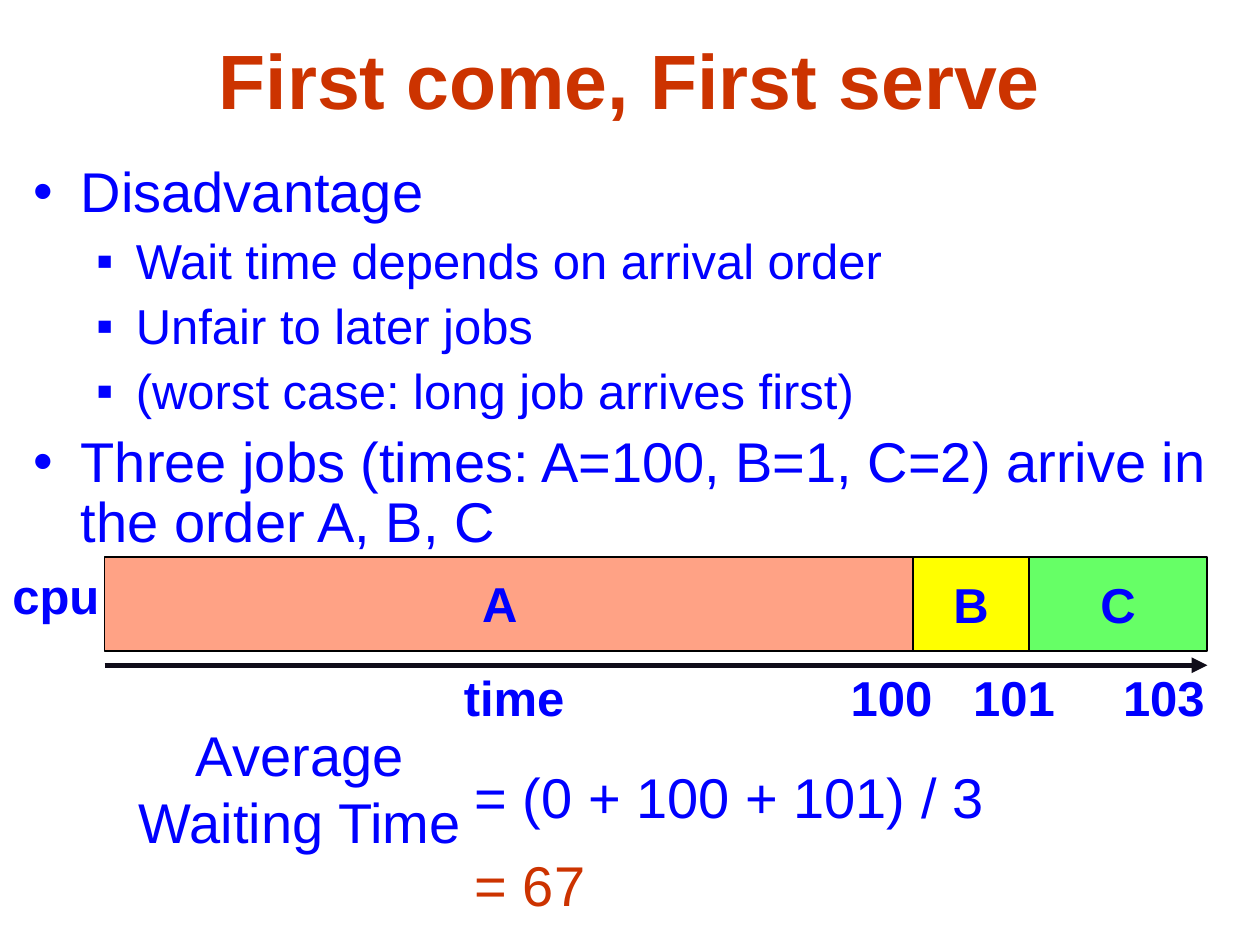
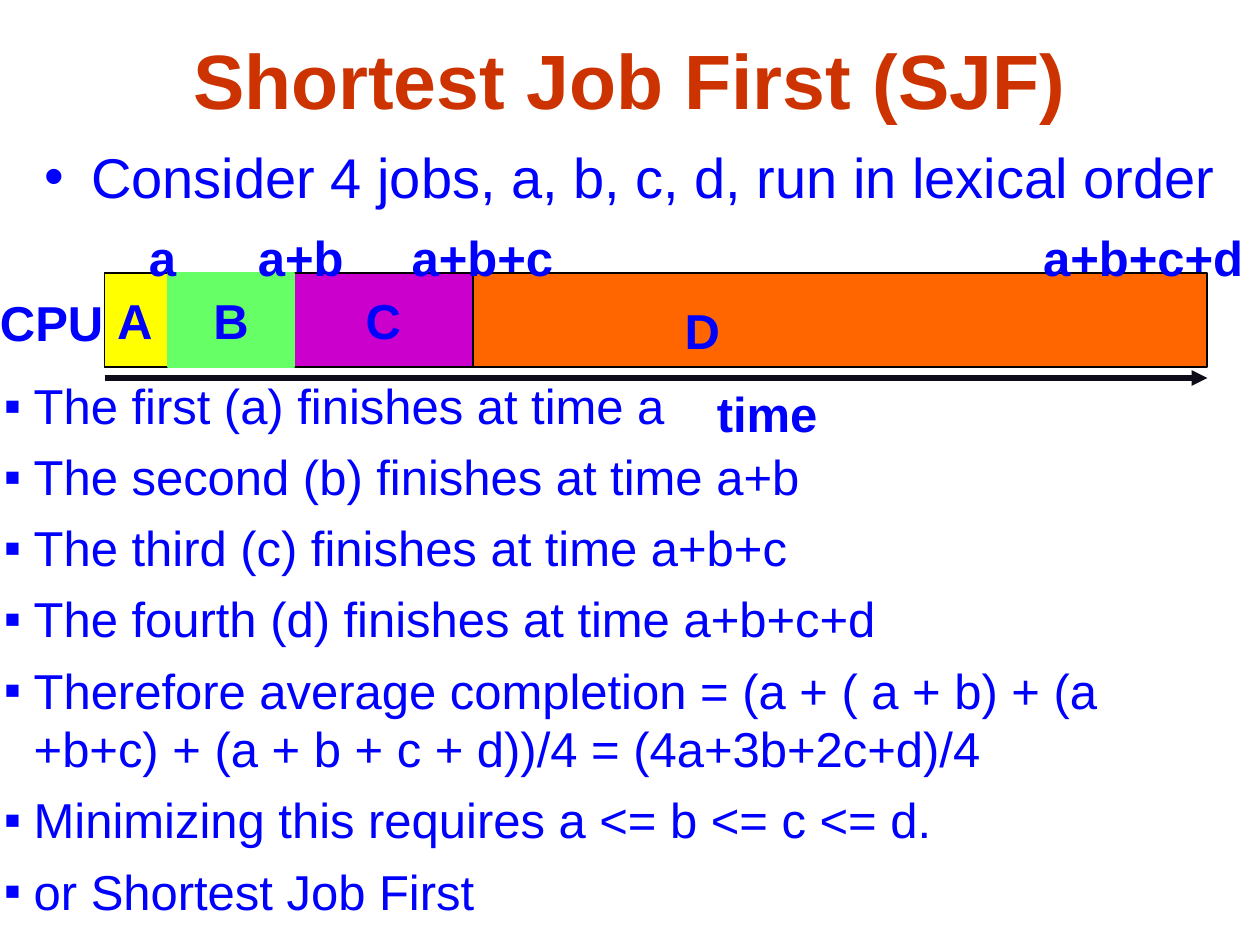
from dataclasses import dataclass

from lxml.etree import SubElement
from pptx import Presentation
from pptx.dml.color import RGBColor
from pptx.enum.shapes import MSO_CONNECTOR, MSO_SHAPE
from pptx.enum.text import MSO_ANCHOR, PP_ALIGN
from pptx.oxml.ns import qn
from pptx.util import Cm, Pt


@dataclass(frozen=True)
class Theme:
    """Colours, font and type sizes shared by the slides."""

    font: str = "Arial"
    accent: str = "CC3300"
    text: str = "0000FF"
    outline: str = "000000"
    arrow: str = "0F0C19"
    salmon: str = "FFA285"
    yellow: str = "FFFF00"
    green: str = "66FF66"
    purple: str = "CC00CC"
    orange: str = "FF6600"
    title_size: int = 44
    large: int = 32
    medium: int = 28


THEME = Theme()
BAR_LEFT, BAR_WIDTH, BAR_HEIGHT = 2.11, 22.23, 1.9
LINE_HEIGHT = 1.45


def write(p, text, size=THEME.medium, color=THEME.text, bold=False, align=PP_ALIGN.LEFT):
    """Add formatted text to a paragraph."""
    p.alignment = align
    r = p.add_run()
    r.text = text
    r.font.name = THEME.font
    r.font.size = Pt(size)
    r.font.bold = bold
    r.font.color.rgb = RGBColor.from_string(color)


def set_bullet(p, char, margin, hanging):
    """Give a paragraph a hanging bullet in the text colour."""
    pPr = p._p.get_or_add_pPr()
    pPr.set("marL", str(Cm(margin)))
    pPr.set("indent", str(-Cm(hanging)))
    SubElement(SubElement(pPr, qn("a:buClr")), qn("a:srgbClr"), val=THEME.text)
    SubElement(pPr, qn("a:buFont"), typeface=THEME.font)
    SubElement(pPr, qn("a:buChar"), char=char)


def set_tabs(p, stops):
    """Set left tab stops on a paragraph."""
    tab_list = SubElement(p._p.get_or_add_pPr(), qn("a:tabLst"))
    for stop in stops:
        SubElement(tab_list, qn("a:tab"), pos=str(Cm(stop)), algn="l")


class Deck:
    """Hold the presentation, its theme and the current slide."""

    def __init__(self, theme):
        """Start an empty presentation."""
        self.theme = theme
        self.prs = Presentation()
        self.prs.slide_width, self.prs.slide_height = Cm(25.4), Cm(19.05)
        self.s = None

    def new_slide(self, title):
        """Open a blank slide with a title."""
        self.s = self.prs.slides.add_slide(self.prs.slide_layouts[6])
        self.text(title, 1.27, 0, 22.86, 3.18, size=self.theme.title_size,
                  color=self.theme.accent, bold=True, align=PP_ALIGN.CENTER,
                  anchor=MSO_ANCHOR.MIDDLE)

    def box(self, x, y, w, h, wrap=True, anchor=MSO_ANCHOR.TOP):
        """Add an empty text box and return its text frame."""
        tf = self.s.shapes.add_textbox(Cm(x), Cm(y), Cm(w), Cm(h)).text_frame
        tf.word_wrap = wrap
        tf.vertical_anchor = anchor
        return tf

    def text(self, text, x, y, w, h=LINE_HEIGHT, wrap=True, anchor=MSO_ANCHOR.TOP,
             tabs=(), **fmt):
        """Add a text box with one paragraph."""
        p = self.box(x, y, w, h, wrap, anchor).paragraphs[0]
        if tabs:
            set_tabs(p, tabs)
        write(p, text, **fmt)

    def label(self, text, x, y, w, **fmt):
        """Add a bold one-line label."""
        self.text(text, x, y, w, bold=True, **fmt)

    def bullets(self, items, x, y, w, h, spacing=1.0, sub_margin=2.06, sub_hanging=0.8):
        """Add a bulleted list of (level, text) items."""
        tf = self.box(x, y, w, h)
        styles = (("•", 0.95, 0.95, self.theme.large, 8),
                  ("▪", sub_margin, sub_hanging, self.theme.medium, 7))
        for i, (level, text) in enumerate(items):
            char, margin, hanging, size, before = styles[level]
            p = tf.add_paragraph() if i else tf.paragraphs[0]
            p.level = level
            p.line_spacing = spacing
            p.space_before = Pt(before if i else 0)
            set_bullet(p, char, margin, hanging)
            write(p, text, size=size)

    def job(self, text, x, y, w, fill, line=THEME.outline, align=PP_ALIGN.CENTER):
        """Add one job block of the CPU bar."""
        sp = self.s.shapes.add_shape(MSO_SHAPE.RECTANGLE, Cm(x), Cm(y), Cm(w), Cm(BAR_HEIGHT))
        sp.shadow.inherit = False
        sp.fill.solid()
        sp.fill.fore_color.rgb = RGBColor.from_string(fill)
        sp.line.color.rgb = RGBColor.from_string(line)
        sp.line.width = Pt(1)
        if text:
            tf = sp.text_frame
            tf.vertical_anchor = MSO_ANCHOR.MIDDLE
            write(tf.paragraphs[0], text, bold=True, align=align)

    def time_arrow(self, y):
        """Add the time axis under the CPU bar."""
        c = self.s.shapes.add_connector(MSO_CONNECTOR.STRAIGHT, Cm(BAR_LEFT), Cm(y),
                                        Cm(BAR_LEFT + BAR_WIDTH), Cm(y))
        c.line.color.rgb = RGBColor.from_string(self.theme.arrow)
        c.line.width = Pt(3)
        spPr = c._element.spPr
        SubElement(spPr.find(qn("a:ln")), qn("a:tailEnd"), type="triangle")
        SubElement(spPr, qn("a:effectLst"))


def first_come(deck):
    """Build the slide on first come, first serve."""
    t = deck.theme
    deck.new_slide("First come, First serve")
    deck.bullets([(0, "Disadvantage"),
                  (1, "Wait time depends on arrival order"),
                  (1, "Unfair to later jobs"),
                  (1, "(worst case: long job arrives first)"),
                  (0, "Three jobs (times: A=100, B=1, C=2) arrive in the order A, B, C")],
                 0.43, 3.18, 24.97, 8.69, spacing=0.9)
    deck.label("time\t100\t101\t103", 9.1, 13.33, 16.3, tabs=(7.8, 10.27, 13.29))
    deck.label("cpu", 0, 11.28, 2.26, wrap=False)
    deck.time_arrow(13.41)
    x = BAR_LEFT
    for name, width, fill in (("", 16.3, t.salmon), ("B", 2.33, t.yellow), ("C", 3.6, t.green)):
        deck.job(name, x, 11.23, width, fill)
        x += width
    deck.label("A", 9.47, 11.43, 4.5)
    deck.text("Average Waiting Time", 1.7, 14.4, 8.69, 2.97, size=t.large, align=PP_ALIGN.CENTER)
    deck.text("= (0 + 100 + 101) / 3", 9.32, 15.24, 12.27, size=t.large)
    deck.text("= 67", 9.32, 17.02, 12.27, size=t.large, color=t.accent)


def shortest_job(deck):
    """Build the slide on shortest job first."""
    t = deck.theme
    bar_top = 5.5
    deck.new_slide("Shortest Job First (SJF)")
    deck.bullets([(0, "Consider 4 jobs, a, b, c, d, run in lexical order")],
                 0.64, 2.75, 24.76, 14.4)
    deck.job("", BAR_LEFT, bar_top, BAR_WIDTH, t.orange)
    deck.label("CPU", -0.25, 5.77, 2.59, wrap=False)
    deck.time_arrow(7.62)
    deck.label("time", 14.2, 7.6, 2.54, wrap=False)
    deck.label("D", 13.55, 5.93, 3.07)
    deck.job("A", BAR_LEFT, bar_top, 3.81, t.yellow, align=PP_ALIGN.LEFT)
    deck.job("C", 5.93, bar_top, 3.6, t.purple)
    deck.job("B", 3.39, bar_top, 2.54, t.green, line=t.green)
    deck.label("a\ta+b\ta+b+c\ta+b+c+d", 2.75, 4.45, 24.18, anchor=MSO_ANCHOR.MIDDLE,
               tabs=(2.2, 5.3, 18.03))
    deck.bullets([(1, text) for text in (
        "The first (a) finishes at time a",
        "The second (b) finishes at time a+b",
        "The third (c) finishes at time a+b+c",
        "The fourth (d) finishes at time a+b+c+d",
        "Therefore average completion = (a + ( a + b) + (a +b+c) + (a + b + c + d))/4"
        " = (4a+3b+2c+d)/4",
        "Minimizing this requires a <= b <= c <= d.",
        "or Shortest Job First")],
        -0.84, 7.45, 25.4, 11.23, sub_margin=1.27, sub_hanging=0.6)


def main():
    """Build and save the slides."""
    deck = Deck(THEME)
    first_come(deck)
    shortest_job(deck)
    deck.prs.save("out.pptx")


if __name__ == "__main__":
    main()
